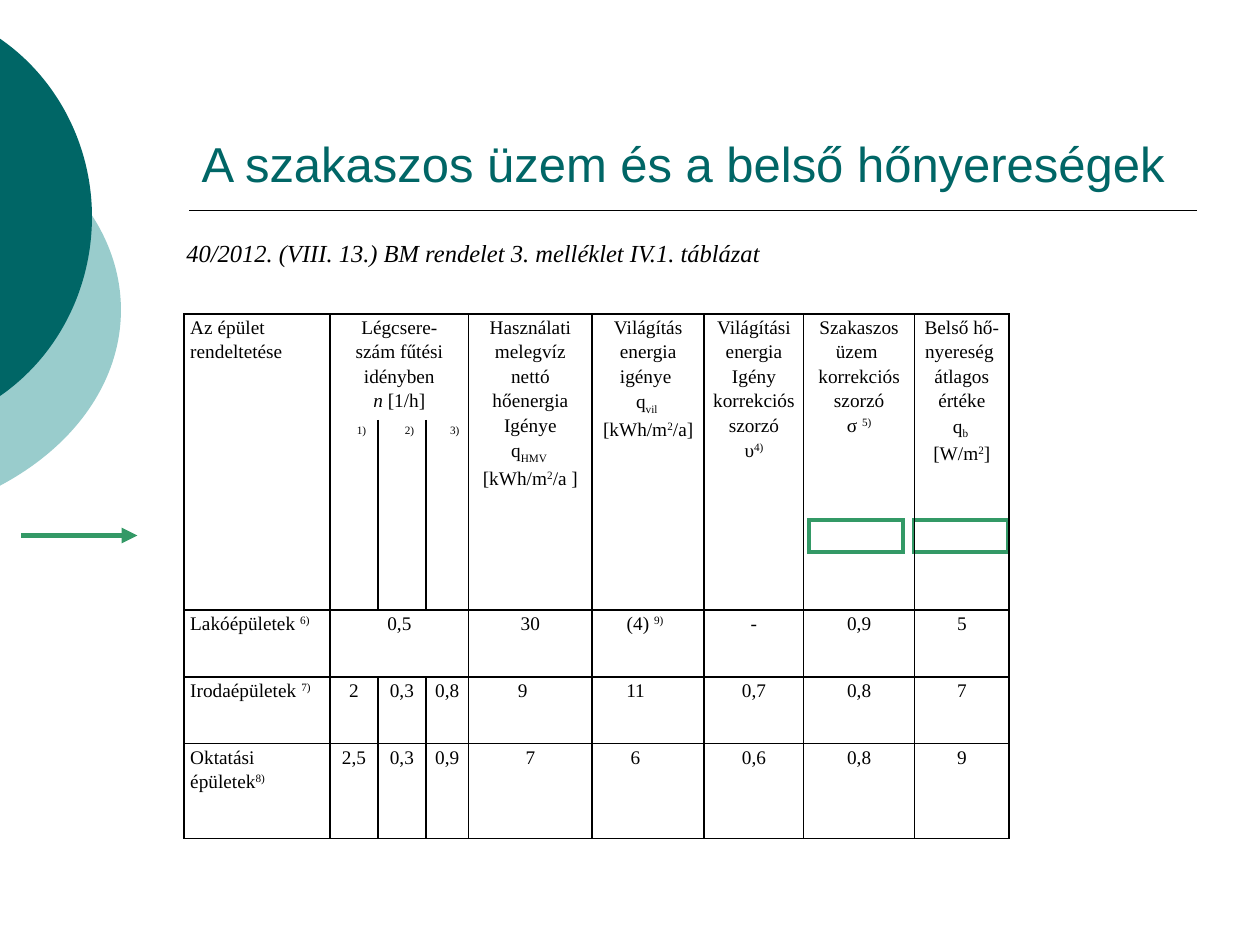
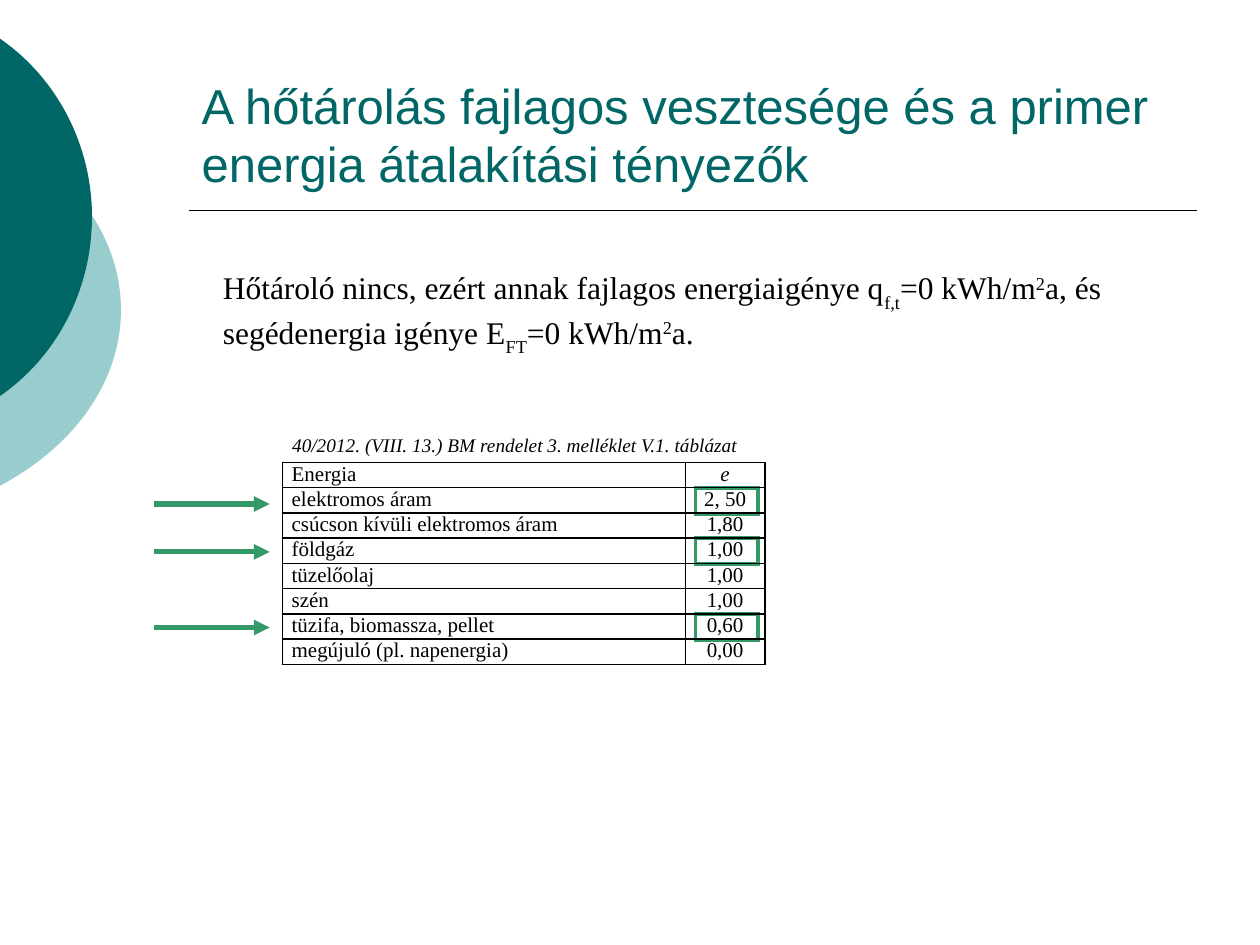
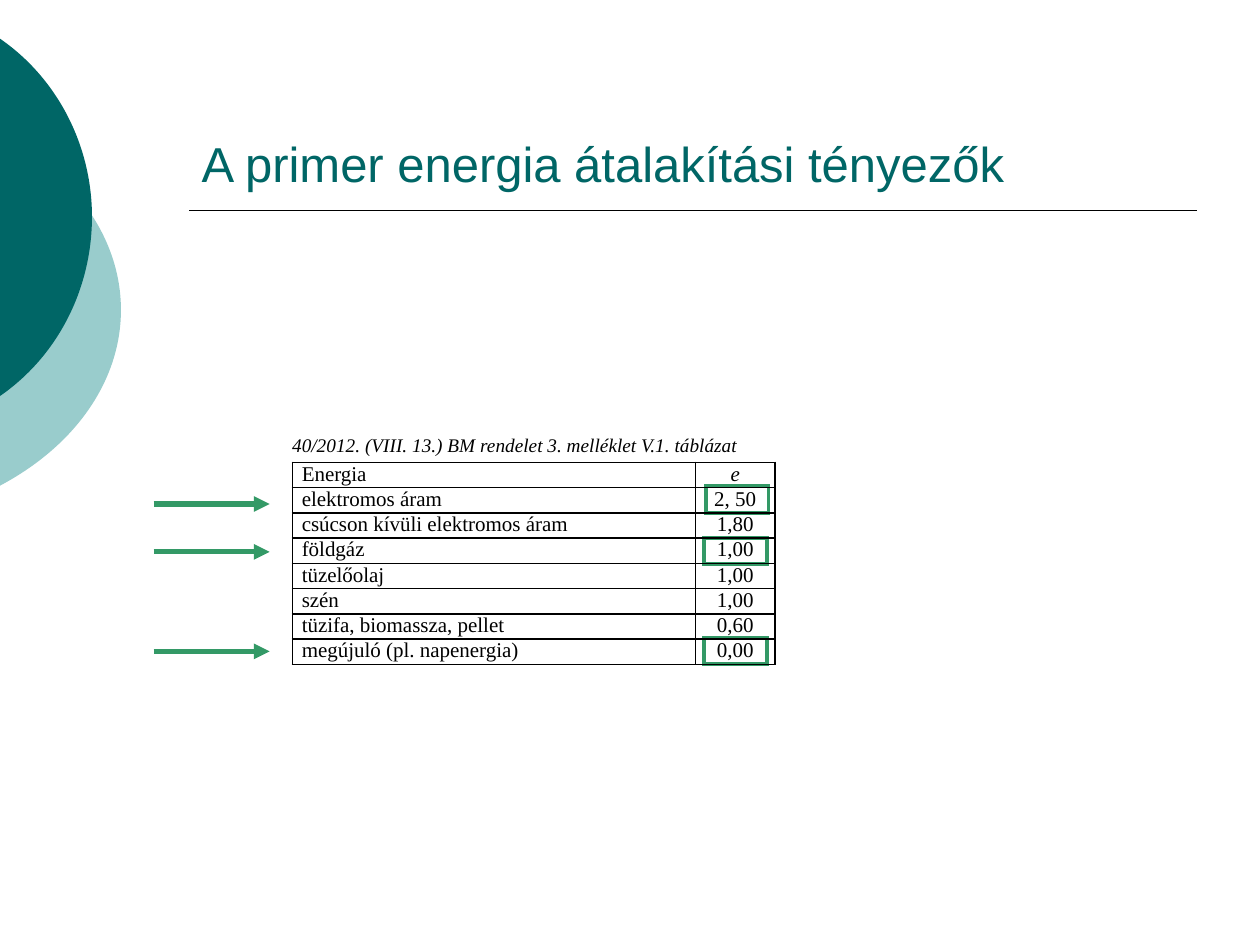
from lxml import etree
from pptx import Presentation
from pptx import util as u
from pptx.dml.color import RGBColor
from pptx.enum import shapes, text
from pptx.oxml import ns

Inches, Pt = u.Inches, u.Pt
ALIGN = text.PP_ALIGN


def color(value):
    """Turn a hex string into a colour."""
    return RGBColor.from_string(value)


def write(frame, content, size=11, font="Times New Roman", ink="000000", align=ALIGN.LEFT,
          italic=False, spacing=None, before=None, after=None, low=-25):
    """Fill a frame; pieces split by | may start with _ (low), ^ (high) or ~ (italic)."""
    for number, line in enumerate(content.split("\n")):
        para = frame.add_paragraph() if number else frame.paragraphs[0]
        para.alignment = align
        if spacing:
            para.line_spacing = spacing
        if before is not None:
            para.space_before = Pt(before)
        if after is not None:
            para.space_after = Pt(after)
        for piece in line.split("|"):
            mark = piece[0] if piece[0] in "_^~" else ""
            span = para.add_run()
            span.text = piece[len(mark):]
            span.font.size, span.font.name = Pt(size), font
            span.font.italic = italic or mark == "~"
            span.font.color.rgb = color(ink)
            if mark in ("_", "^"):
                percent = low if mark == "_" else 30
                span._r.get_or_add_rPr().set("baseline", str(percent * 1000))


class Lecture:
    """Hold the shared style and the current slide."""

    TEAL, PALE, GREEN, BLACK = "006666", "99CCCC", "339966", "000000"

    def __init__(self):
        """Start an empty deck."""
        self.deck = Presentation()
        self.deck.slide_width, self.deck.slide_height = Inches(10), Inches(7.5)
        self.page = None

    def new_page(self, title):
        """Add a slide with its arcs, rule and title."""
        self.page = self.deck.slides.add_slide(self.deck.slide_layouts[5])
        self.arc((-3.54, 0.75, 4.5, 3.42), self.PALE, (-0.01, 1.06),
                 [(0.6, 1.38), (0.96, 1.9), (0.96, 2.46)],
                 [(0.96, 3.02), (0.6, 3.54), (-0.01, 3.86)])
        self.arc((-2.65, 0, 3.38, 3.45), self.TEAL, (-0.01, 0.3),
                 [(0.46, 0.62), (0.73, 1.16), (0.73, 1.72)],
                 [(0.73, 2.29), (0.46, 2.83), (-0.01, 3.15)])
        self.line(1.5, 9.5, 1.67, self.BLACK, 1)
        box = self.page.shapes.title
        box.left, box.top, box.width, box.height = map(Inches, (1.5, 0.33, 8, 1.25))
        frame = box.text_frame
        frame.word_wrap, frame.auto_size = True, text.MSO_AUTO_SIZE.NONE
        frame.vertical_anchor = text.MSO_ANCHOR.BOTTOM
        write(frame, title, size=28, font="Arial", ink=self.TEAL)

    def arc(self, place, fill, start, *curves):
        """Draw a disc cut off at the left edge of the slide, outlined by curves."""
        left, top, width, height = map(Inches, place)
        builder = self.page.shapes.build_freeform(left, top)
        builder.add_line_segments([(left + width, top), (left + width, top + height)])
        disc = builder.convert_to_shape()
        outline = disc._element.spPr.find(".//" + ns.qn("a:path"))
        for step in list(outline):
            outline.remove(step)
        for kind, points in [("moveTo", [start])] + [("cubicBezTo", c) for c in curves]:
            step = etree.SubElement(outline, ns.qn("a:" + kind))
            for x, y in points:
                etree.SubElement(step, ns.qn("a:pt"),
                                 x=str(Inches(x) - left), y=str(Inches(y) - top))
        etree.SubElement(outline, ns.qn("a:close"))
        disc.shadow.inherit = False
        disc.fill.solid()
        disc.fill.fore_color.rgb = color(fill)
        disc.line.fill.background()

    def line(self, left, right, top, ink, width, arrow=False):
        """Draw a level line, with an arrowhead on request."""
        link = self.page.shapes.add_connector(
            shapes.MSO_CONNECTOR.STRAIGHT, Inches(left), Inches(top), Inches(right), Inches(top))
        link.line.color.rgb, link.line.width = color(ink), Pt(width)
        properties = link._element.spPr
        if arrow:
            etree.SubElement(properties.find(ns.qn("a:ln")), ns.qn("a:tailEnd"), type="triangle")
        etree.SubElement(properties, ns.qn("a:effectLst"))

    def arrow(self, left, top):
        """Draw a green pointer."""
        self.line(left, left + 0.92, top, self.GREEN, 3, arrow=True)

    def frame(self, left, top, width, height):
        """Draw a green frame with sharp corners around a value."""
        box = self.page.shapes.add_shape(
            shapes.MSO_SHAPE.RECTANGLE, *map(Inches, (left, top, width, height)))
        box.shadow.inherit = False
        box.fill.background()
        box.line.color.rgb, box.line.width = color(self.GREEN), Pt(2.25)
        etree.SubElement(box._element.spPr.find(ns.qn("a:ln")), ns.qn("a:miter"), lim="800000")

    def note(self, left, top, width, height, content, **style):
        """Add a wrapped text box."""
        box = self.page.shapes.add_textbox(*map(Inches, (left, top, width, height)))
        box.text_frame.word_wrap = True
        box.text_frame.auto_size = text.MSO_AUTO_SIZE.SHAPE_TO_FIT_TEXT
        write(box.text_frame, content, **style)

    def table(self, left, top, widths, heights):
        """Add a plain table without style bands."""
        shape = self.page.shapes.add_table(
            len(heights), len(widths),
            *map(Inches, (left, top, sum(widths), sum(heights))))
        grid = shape.table
        grid.first_row = grid.horz_banding = False
        for column, width in zip(grid.columns, widths):
            column.width = Inches(width)
        for row, height in zip(grid.rows, heights):
            row.height = Inches(height)
        return grid

    def cell(self, cell, content, margin, edges="LRTB", shift=0, **style):
        """Format a cell; a shift moves its centred text right or left."""
        cell.margin_top = cell.margin_bottom = 0
        cell.margin_left = Inches(margin + max(shift, 0))
        cell.margin_right = Inches(margin + max(-shift, 0))
        cell.fill.background()
        properties = cell._tc.get_or_add_tcPr()
        for place, side in enumerate("LRTB"):
            border = etree.Element(ns.qn("a:ln" + side), w=str(Pt(1)))
            if side in edges:
                fill = etree.SubElement(border, ns.qn("a:solidFill"))
                etree.SubElement(fill, ns.qn("a:srgbClr"), val=self.BLACK)
            else:
                etree.SubElement(border, ns.qn("a:noFill"))
            properties.insert(place, border)
        if content:
            write(cell.text_frame, content, **style)

    def energy_factors(self, left, marks):
        """Add the factor table with its caption, pointers and framed values."""
        for pointer, frame_left, frame_top in marks:
            self.arrow(1.22, pointer)
            self.frame(frame_left, frame_top, 0.5, 0.21)
        self.note(2.22, 3.39, 6.25, 0.29,
                  "40/2012. (VIII. 13.) BM rendelet 3. melléklet V.1. táblázat", italic=True)
        grid = self.table(left, 3.67, [3.2, 0.63], [0.2] * len(FACTORS))
        for row, (name, value) in enumerate(FACTORS):
            self.cell(grid.cell(row, 0), name, 0.075, size=12)
            self.cell(grid.cell(row, 1), value, 0.07, size=12, align=ALIGN.CENTER)

    def building_data(self):
        """Add the table of building uses."""
        grid = self.table(1.46, 2.49, [1.16, 0.38, 0.38, 0.34, 0.98, 0.89, 0.79, 0.88, 0.75],
                          [0.84, 1.51, 0.53, 0.53, 0.75])
        for column in (0, 4, 5, 6, 7, 8):
            grid.cell(0, column).merge(grid.cell(1, column))
        for row in (0, 2):
            grid.cell(row, 1).merge(grid.cell(row, 3))
        edges = {(0, 1): "LRT", (0, 2): "T", (0, 3): "TR", (2, 2): "TB", (2, 3): "TBR"}
        for row, values in enumerate(BUILDINGS):
            gaps = {} if row < 2 else {"before": 2, "after": 2 if row < 4 else 0}
            for column, content in enumerate(values):
                align = ALIGN.CENTER
                if column == 0:
                    align = ALIGN.LEFT if row < 2 else ALIGN.JUSTIFY
                default = "LRB" if row == 1 else "LRTB"
                self.cell(grid.cell(row, column), content, 0.05,
                          edges.get((row, column), default), SHIFTS.get((row, column), 0),
                          align=align, spacing=1.15, **gaps)


FACTORS = [
    ("Energia", "~e"),
    ("elektromos áram", "2, 50"),
    ("csúcson kívüli elektromos áram", "1,80"),
    ("földgáz", "1,00"),
    ("tüzelőolaj", "1,00"),
    ("szén", "1,00"),
    ("tüzifa, biomassza, pellet", "0,60"),
    ("megújuló (pl. napenergia)", "0,00"),
]
BUILDINGS = [
    ["Az épület rendeltetése", "Légcsere-\nszám fűtési idényben\n~n |[1/h]", "", "",
     "Használati melegvíz nettó hőenergia\nIgénye\nq|_HMV \n[kWh/m|^2|/a ]",
     "Világítás energia\nigénye \nq|_vil \n[kWh/m|^2|/a]",
     "Világítási energia\nIgény\nkorrekciós\nszorzó\nυ|^4)",
     "Szakaszos\nüzem \nkorrekciós szorzó\nσ |^5)",
     "Belső hő-\nnyereség \nátlagos értéke\nq|_b \n[W/m|^2|]"],
    ["", "^1)", "^2)", "^3)", "", "", "", "", ""],
    ["Lakóépületek |^6)", "0,5", "", "", "30", "(4) |^9)", "-", "0,9", "5"],
    ["Irodaépületek |^7)", "2", "0,3", "0,8", "9", "11", "0,7", "0,8", "7"],
    ["Oktatási épületek|^8)", "2,5", "0,3", "0,9", "7", "6", "0,6", "0,8", "9"],
]
SHIFTS = {(1, 1): 0.12, (1, 2): 0.12, (1, 3): 0.12, (2, 5): -0.05,
          (3, 4): -0.12, (3, 5): -0.2, (4, 5): -0.2}

lecture = Lecture()

lecture.new_page("A szakaszos üzem és a belső hőnyereségek")
lecture.arrow(0.17, 4.25)
for frame_left in (6.42, 7.25):
    lecture.frame(frame_left, 4.13, 0.75, 0.25)
lecture.note(1.38, 1.84, 6.25, 0.34,
             "40/2012. (VIII. 13.) BM rendelet 3. melléklet IV.1. táblázat", size=14, italic=True)
lecture.building_data()

lecture.new_page("A hőtárolás fajlagos vesztesége és a primer energia átalakítási tényezők")
lecture.note(1.67, 2.08, 7.18, 0.7,
             "Hőtároló nincs, ezért annak fajlagos energiaigénye q|_f,t|=0 kWh/m|^2|a, és "
             "segédenergia igénye E|_FT|=0 kWh/m|^2|a. ", size=18, low=-30)
lecture.energy_factors(2.24, [(4, 5.52, 3.87), (4.38, 5.52, 4.27), (4.98, 5.52, 4.87)])

lecture.new_page("A primer energia átalakítási tényezők")
lecture.energy_factors(2.32, [(4, 5.6, 3.86), (4.38, 5.59, 4.27), (5.17, 5.59, 5.06)])

lecture.deck.save("out.pptx")
